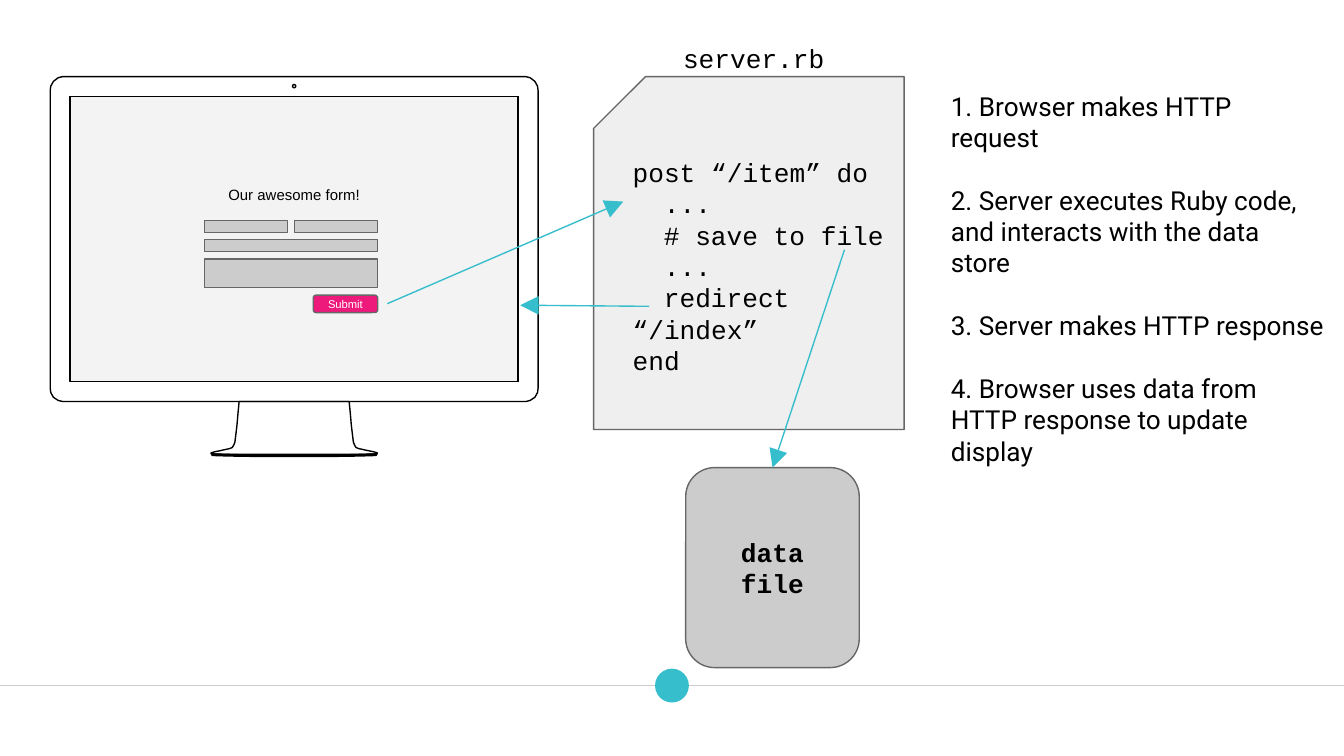
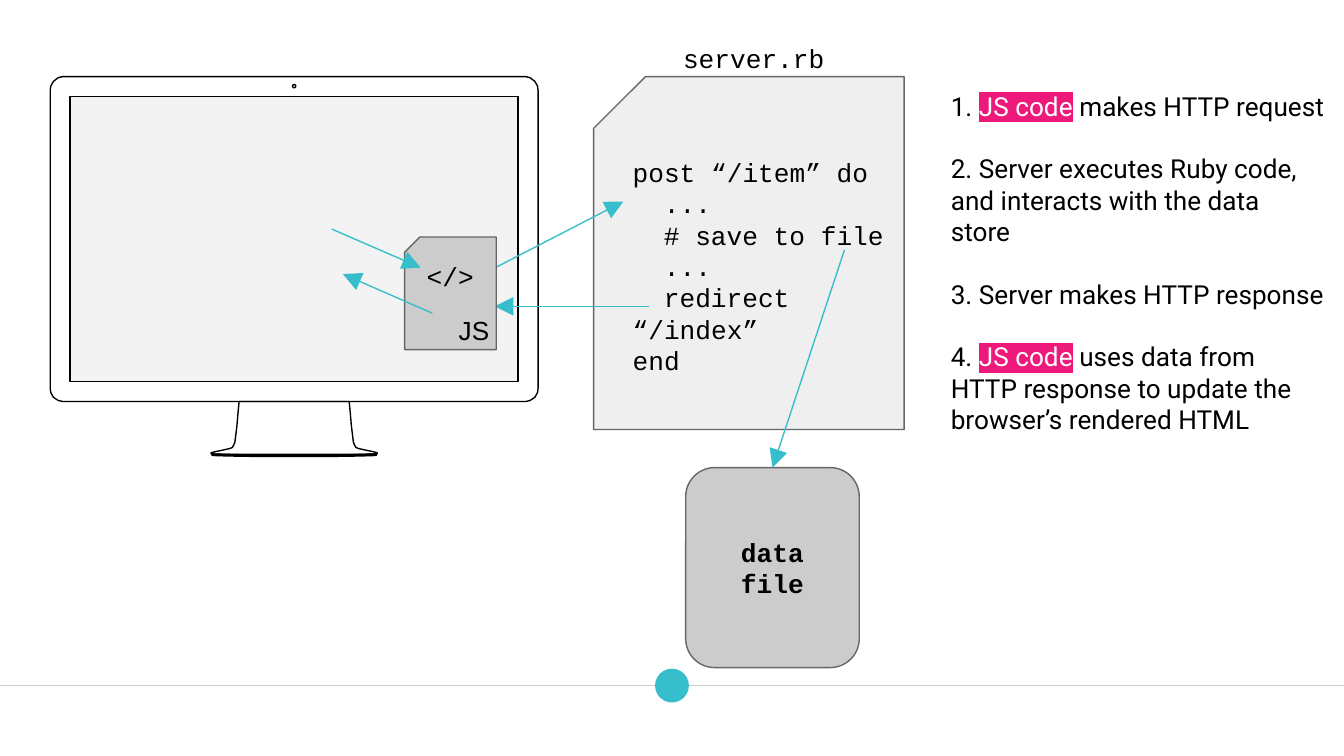
import pptx
import pptx.dml.color
import pptx.enum.shapes
import pptx.enum.text
import pptx.oxml
import pptx.oxml.ns
import pptx.slide
import pptx.util
from dataclasses import dataclass
from typing import NamedTuple

Cm = pptx.util.Cm
Pt = pptx.util.Pt
KIND = pptx.enum.shapes.MSO_SHAPE
ALIGN = pptx.enum.text.PP_ALIGN
ANCHOR = pptx.enum.text.MSO_ANCHOR

# Shared colours and fonts
TEAL, PINK = "37BECC", "ED197B"
BLACK, WHITE = "000000", "FFFFFF"
EDGE, RULE = "666666", "CCCCCC"
GREY, PALE, GLASS = "CCCCCC", "EFEFEF", "F3F3F3"
MONO, SANS, BODY = "Courier New", "Arial", "Roboto"
PITCH = 16.8  # line height of 14 pt text, in points
INSET = 0.25


class Box(NamedTuple):
    left: float
    top: float
    width: float
    height: float


class Para(NamedTuple):
    text: str  # parts between asterisks are highlighted
    indent: float = 0


@dataclass(frozen=True)
class Style:
    face: str = MONO
    size: float = 14
    color: str = BLACK
    bold: bool = False
    align: int = ALIGN.LEFT
    anchor: int = ANCHOR.TOP
    gap: float = 0
    wrap: bool = True


@dataclass(frozen=True)
class Block:
    box: Box
    kind: int = KIND.RECTANGLE
    fill: str = GREY
    edge: str | None = EDGE
    flip: bool = False
    paras: tuple[Para, ...] = ()
    style: Style = Style()


@dataclass(frozen=True)
class Label:
    box: Box
    paras: tuple[Para, ...]
    style: Style = Style()


class Arrow(NamedTuple):
    x1: float
    y1: float
    x2: float
    y2: float


def rgb(code: str) -> pptx.dml.color.RGBColor:
    return pptx.dml.color.RGBColor.from_string(code)


def paint(shape, fill: str, edge: str | None) -> None:
    shape.shadow.inherit = False
    shape.fill.solid()
    shape.fill.fore_color.rgb = rgb(fill)
    if edge:
        shape.line.color.rgb = rgb(edge)
        shape.line.width = Pt(0.75)
    else:
        shape.line.fill.background()


def mark(run) -> None:
    """Give a run white text on a pink ground."""
    run.font.color.rgb = rgb(WHITE)
    light = pptx.oxml.parse_xml(
        f'<a:highlight {pptx.oxml.ns.nsdecls("a")}>'
        f'<a:srgbClr val="{PINK}"/></a:highlight>')
    run._r.get_or_add_rPr().find(pptx.oxml.ns.qn("a:solidFill")).addnext(light)


def write(shape, paras: tuple[Para, ...], style: Style) -> None:
    frame = shape.text_frame
    frame.word_wrap = style.wrap
    frame.vertical_anchor = style.anchor
    frame.margin_left = frame.margin_right = Cm(INSET)
    frame.margin_top = frame.margin_bottom = Cm(INSET)
    for i, para in enumerate(paras):
        line = frame.paragraphs[0] if i == 0 else frame.add_paragraph()
        line.alignment = style.align
        if style.size == 14:
            line.line_spacing = Pt(PITCH)
        if i:
            line.space_before = Pt(style.gap)
        if para.indent:
            line._p.get_or_add_pPr().set("indent", str(Cm(para.indent)))
        font = line.font
        font.name, font.size, font.bold = style.face, Pt(style.size), style.bold
        font.color.rgb = rgb(style.color)
        for j, part in enumerate(para.text.split("*")):
            run = line.add_run()
            run.text = part
            if j % 2:
                mark(run)


def put_block(slide: pptx.slide.Slide, block: Block) -> None:
    shape = slide.shapes.add_shape(block.kind, *map(Cm, block.box))
    paint(shape, block.fill, block.edge)
    if block.flip:
        shape.element.spPr.get_or_add_xfrm().set("flipH", "1")
    if block.paras:
        write(shape, block.paras, block.style)


def put_label(slide: pptx.slide.Slide, label: Label) -> None:
    write(slide.shapes.add_textbox(*map(Cm, label.box)), label.paras, label.style)


def put_line(slide: pptx.slide.Slide, ends: Arrow, color: str = TEAL,
             head: bool = True) -> None:
    line = slide.shapes.add_connector(
        pptx.enum.shapes.MSO_CONNECTOR.STRAIGHT, *map(Cm, ends))
    line.line.color.rgb = rgb(color)
    line.line.width = Pt(0.75)
    props, names = line.element.spPr, pptx.oxml.ns.nsdecls("a")
    if head:
        props.find(pptx.oxml.ns.qn("a:ln")).append(pptx.oxml.parse_xml(
            f'<a:tailEnd {names} type="triangle" w="lg" len="lg"/>'))
    props.append(pptx.oxml.parse_xml(f"<a:effectLst {names}/>"))


# Right halves of the monitor outlines: distance from the middle, height
MIDDLE = 5.56
CAMERA = [(0.01, 1.6), (0.03, 1.62), (0.03, 1.64), (0.01, 1.66)]
INNER = [(4.24, 1.83), (4.24, 7.21)]
CASE = [(4.38, 1.45), (4.46, 1.47), (4.55, 1.54), (4.6, 1.63), (4.61, 1.71),
        (4.61, 7.34), (4.6, 7.42), (4.55, 7.51), (4.46, 7.57), (4.38, 7.59)]
STAND = [(1.04, 7.59), (1.06, 7.8), (1.08, 8.03), (1.1, 8.2), (1.12, 8.36),
         (1.14, 8.41), (1.17, 8.46), (1.22, 8.48), (1.4, 8.52), (1.5, 8.54),
         (1.57, 8.56), (1.57, 8.58), (1.3, 8.59)]
FOOT = [(0.6, 8.61), (1.24, 8.59), (1.55, 8.58), (1.55, 8.61), (1.24, 8.62),
        (0.6, 8.63)]


def put_screen(slide: pptx.slide.Slide) -> None:
    pen = None
    for half in (CAMERA, INNER, CASE, STAND, FOOT):
        full = [(MIDDLE + x, y) for x, y in half]
        full += [(MIDDLE - x, y) for x, y in reversed(half)]
        start, *rest = [(round(x * 100), round(y * 100)) for x, y in full]
        if pen is None:
            pen = slide.shapes.build_freeform(*start, scale=Cm(0.01))
        else:
            pen.move_to(*start)
        pen.add_line_segments(rest, close=True)
    paint(pen.convert_to_shape(), WHITE, BLACK)
    put_block(slide, Block(Box(1.33, 1.83, 8.46, 5.38), fill=GLASS, edge=BLACK))


# Parts found on both slides
TAB = 0.59  # two letters of code
CODE = (Para("post “/item” do"), Para("...", TAB), Para("# save to file", TAB),
        Para("...", TAB), Para("redirect “/index”", TAB), Para("end"))
SERVER = Block(Box(11.22, 1.45, 5.87, 6.67), KIND.SNIP_1_RECTANGLE, PALE,
               flip=True, paras=CODE, style=Style(anchor=ANCHOR.MIDDLE))
TITLE = Label(Box(12.66, 0.56, 3.89, 0.69), (Para("server.rb"),))
STORE = Block(Box(12.96, 8.84, 3.28, 3.78), KIND.ROUNDED_RECTANGLE,
              paras=(Para("data"), Para("file")),
              style=Style(bold=True, align=ALIGN.CENTER, anchor=ANCHOR.MIDDLE))
SAVE = Arrow(15.96, 4.72, 14.6, 8.84)
DOT = Block(Box(12.38, 12.64, 0.64, 0.64), KIND.OVAL, TEAL, None)
STEPS = Box(17.72, 1.45, 7.56, 10.95)
MID_STEPS = ("2. Server executes Ruby code, and interacts with the data store",
             "3. Server makes HTTP response")

# Web form on the first slide
LEFT, HALF, FULL, ROW = 3.86, 1.57, 3.28, 0.23
FORM = [
    Block(Box(LEFT, 4.17, HALF, ROW)),
    Block(Box(LEFT + FULL - HALF, 4.17, HALF, ROW)),
    Block(Box(LEFT, 4.53, FULL, ROW)),
    Block(Box(LEFT, 4.9, FULL, 0.54)),
    Block(Box(5.92, 5.58, 1.22, 0.33), KIND.ROUNDED_RECTANGLE, PINK,
          paras=(Para("Submit"),),
          style=Style(SANS, 6, WHITE, align=ALIGN.CENTER,
                      anchor=ANCHOR.MIDDLE, wrap=False)),
]
HEADING = Label(Box(3.87, 3.35, 3.38, 0.33), (Para("Our awesome form!"),),
                Style(SANS, 8, align=ALIGN.CENTER))

# Script file on the second slide
ICON = Block(Box(7.65, 4.48, 1.73, 2.13), KIND.SNIP_1_RECTANGLE, flip=True)
ICON_TEXT = [
    Label(Box(8.42, 5.69, 1.14, 1.27), (Para("JS"),), Style(SANS)),
    Label(Box(7.71, 4.67, 1.6, 0.81), (Para("</>"),),
          Style(align=ALIGN.CENTER)),
]


def add_slide(deck, first: str, last: str, calls: list[Arrow],
              blocks: list[Block], labels: list[Label],
              arrows: list[Arrow]) -> None:
    slide = deck.slides.add_slide(deck.slide_layouts[6])
    put_line(slide, Arrow(0, 12.96, 25.4, 12.96), RULE, head=False)
    put_block(slide, DOT)
    put_block(slide, SERVER)
    put_label(slide, TITLE)
    put_block(slide, STORE)
    put_screen(slide)
    for call in [SAVE, *calls]:
        put_line(slide, call)
    for block in blocks:
        put_block(slide, block)
    steps = tuple(Para(text) for text in (first, *MID_STEPS, last))
    for label in [*labels, Label(STEPS, steps, Style(BODY, gap=PITCH))]:
        put_label(slide, label)
    for arrow in arrows:
        put_line(slide, arrow)


def main() -> None:
    deck = pptx.Presentation()
    deck.slide_width, deck.slide_height = Cm(25.4), Cm(14.29)
    add_slide(deck, "1. Browser makes HTTP request",
              "4. Browser uses data from HTTP response to update display",
              [Arrow(7.32, 5.74, 11.78, 3.81), Arrow(12.27, 5.79, 9.83, 5.77)],
              FORM, [HEADING], [])
    add_slide(deck, "1. *JS code* makes HTTP request",
              "4. *JS code* uses data from HTTP response to update the "
              "browser’s rendered HTML",
              [Arrow(9.32, 5.08, 11.78, 3.81), Arrow(12.27, 5.79, 9.35, 5.79)],
              [ICON], ICON_TEXT,
              [Arrow(8.17, 5.92, 6.48, 5.18), Arrow(6.27, 4.33, 7.95, 5.06)])
    deck.save("out.pptx")


if __name__ == "__main__":
    main()
